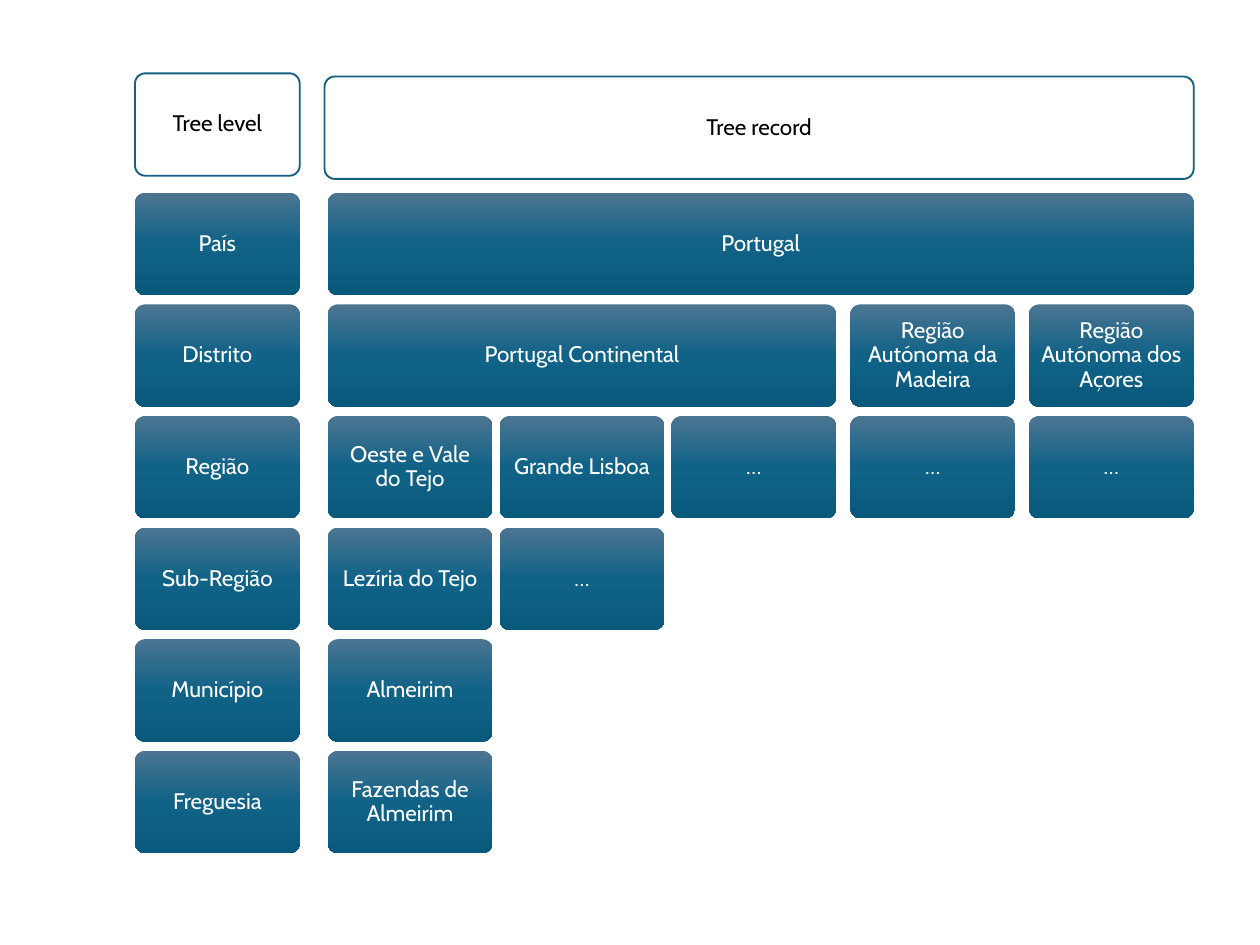
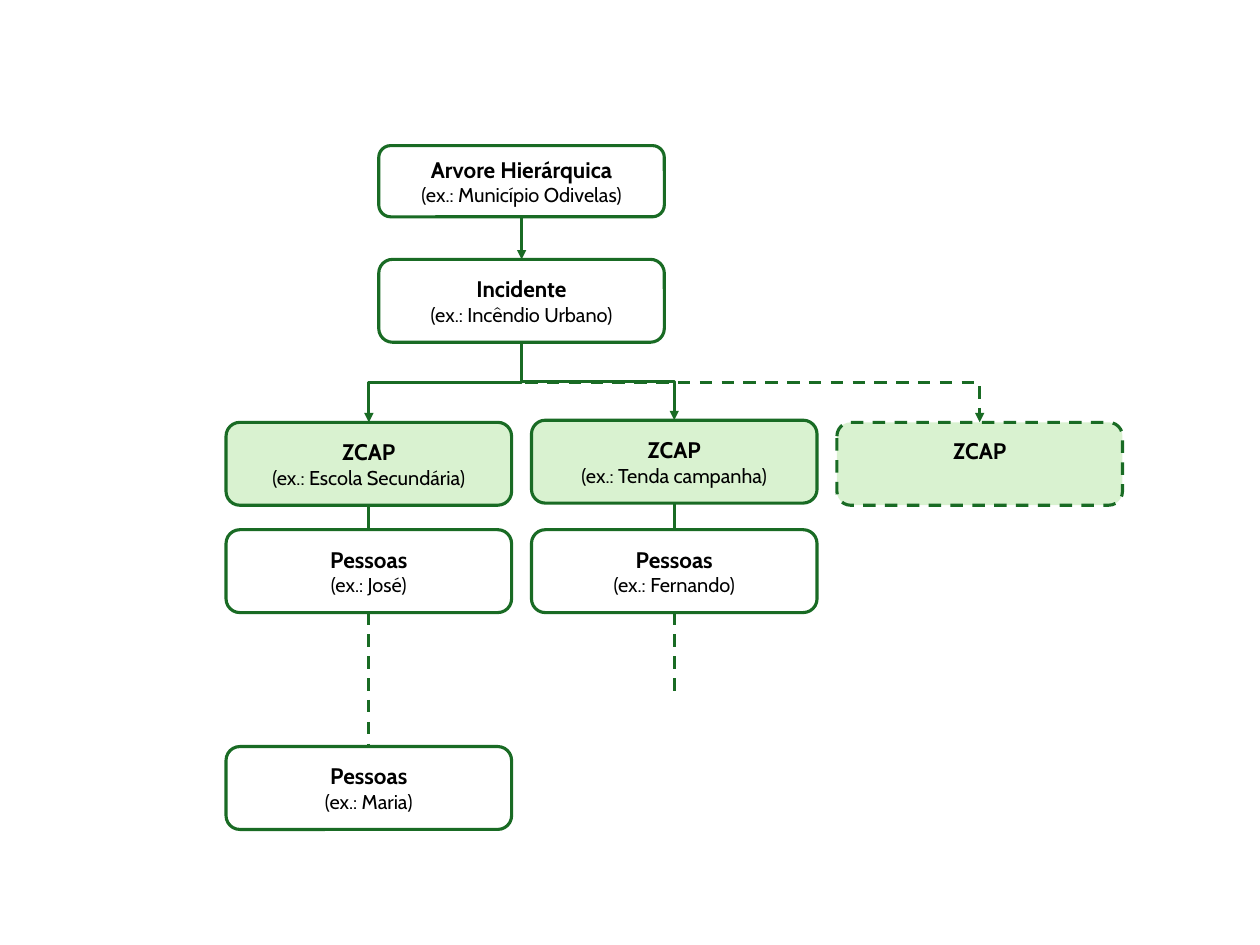
import copy

import pptx
import pptx.dml.color
import pptx.enum.dml
import pptx.enum.shapes
import pptx.enum.text
import pptx.oxml
import pptx.oxml.ns
import pptx.util

Cm = pptx.util.Cm
Pt = pptx.util.Pt
qn = pptx.oxml.ns.qn
DASH = pptx.enum.dml.MSO_LINE.DASH
LINK = pptx.enum.shapes.MSO_CONNECTOR


def color(code):
    return pptx.dml.color.RGBColor.from_string(code)


class Deck:
    font = "Cabin"
    white, black = "FFFFFF", "000000"
    blue, green, mint = "156082", "196B24", "D9F2D0"
    shades = ((0, "4C7591"), (0.5, "106287"), (1, "09597D"))

    def __init__(self, wide, high):
        self.prs = pptx.Presentation()
        self.prs.slide_width = Cm(wide)
        self.prs.slide_height = Cm(high)
        self.slide = None

    def page(self):
        self.slide = self.prs.slides.add_slide(self.prs.slide_layouts[6])

    def box(self, left, top, wide, high, text, ink):
        """Rounded box with centred text; later lines are smaller and plain."""
        kind = pptx.enum.shapes.MSO_SHAPE.ROUNDED_RECTANGLE
        shape = self.slide.shapes.add_shape(
            kind, Cm(left), Cm(top), Cm(wide), Cm(high))
        shape.shadow.inherit = False
        frame = shape.text_frame
        frame.word_wrap = True
        frame.vertical_anchor = pptx.enum.text.MSO_ANCHOR.MIDDLE
        par = frame.paragraphs[0]
        par.text = text
        par.alignment = pptx.enum.text.PP_ALIGN.CENTER
        for i, run in enumerate(par.runs):
            run.font.name = self.font
            run.font.size = Pt(16 if i else 18)
            run.font.color.rgb = color(ink)
        return shape

    def paint(self, shape, fill, line, width, dash=False):
        shape.fill.solid()
        shape.fill.fore_color.rgb = color(fill)
        self.stroke(shape.line, line, width, dash)

    def stroke(self, line, code, width, dash):
        line.color.rgb = color(code)
        line.width = Pt(width)
        if dash:
            line.dash_style = DASH

    def shade(self, shape):
        fill = shape.fill
        fill.gradient()
        fill.gradient_angle = 270
        stops = shape.element.spPr.find(".//" + qn("a:gsLst"))
        stops.append(copy.deepcopy(stops[-1]))
        for stop, (place, code) in zip(fill.gradient_stops, self.shades):
            stop.position = place
            stop.color.rgb = color(code)
        shape.line.fill.background()

    def tile(self, left, top, wide, high, text, head=False):
        ink = self.black if head else self.white
        shape = self.box(left, top, wide, high, text, ink)
        shape.adjustments[0] = 0.1
        frame = shape.text_frame
        frame.margin_top = frame.margin_bottom = Cm(0.25)
        frame.paragraphs[0].line_spacing = 0.9
        if head:
            self.paint(shape, self.white, self.blue, 1.5)
        else:
            self.shade(shape)

    def node(self, mid, top, wide, high, text, fill=white, dash=False):
        shape = self.box(mid - wide / 2, top, wide, high, text, self.black)
        self.paint(shape, fill, self.green, 2.5, dash)
        shape.text_frame.paragraphs[0].runs[0].font.bold = True
        return shape

    def link(self, x1, y1, x2, y2, dash=False, arrow=False):
        """Straight line down, or an elbow that leaves and arrives upright."""
        bent = x1 != x2
        ends = (x1, y1, x2, y2)
        if bent:
            # The elbow lies on its side before it is turned
            x, y = (x1 + x2) / 2, (y1 + y2) / 2
            w, h = (y2 - y1) / 2, abs(x2 - x1) / 2
            if x2 > x1:
                w = -w
            ends = (x - w, y - h, x + w, y + h)
        line = self.slide.shapes.add_connector(
            LINK.ELBOW if bent else LINK.STRAIGHT, *map(Cm, ends))
        props = line.element.spPr
        if bent:
            turn = 270 if x2 > x1 else 90
            props.find(qn("a:xfrm")).set("rot", str(turn * 60000))
        self.stroke(line.line, self.green, 2.5, dash)
        if arrow:
            tail = pptx.oxml.parse_xml(
                '<a:tailEnd %s type="triangle"/>' % pptx.oxml.ns.nsdecls("a"))
            props.find(qn("a:ln")).append(tail)
        props.append(pptx.oxml.parse_xml(
            "<a:effectLst %s/>" % pptx.oxml.ns.nsdecls("a")))


def levels(deck):
    deck.page()
    wide, high, step, first = 4.65, 2.89, 3.15, 5.44
    side = 3.81
    cols = (9.25, 14.1, 18.95, 24, 29.04)

    # Headings
    deck.tile(9.16, 2.16, 24.53, high, "Tree record", head=True)
    deck.tile(side, 2.07, wide, high, "Tree level", head=True)

    # Each level with its records: text, first column, last column
    rows = (
        ("País", [("Portugal", 0, 4)]),
        ("Distrito", [("Portugal Continental", 0, 2),
                      ("Região Autónoma da Madeira", 3, 3),
                      ("Região Autónoma dos Açores", 4, 4)]),
        ("Região", [("Oeste e Vale do Tejo", 0, 0), ("Grande Lisboa", 1, 1),
                    ("…", 2, 2), ("…", 3, 3), ("…", 4, 4)]),
        ("Sub-Região", [("Lezíria do Tejo", 0, 0), ("…", 1, 1)]),
        ("Município", [("Almeirim", 0, 0)]),
        ("Freguesia", [("Fazendas de Almeirim", 0, 0)]),
    )
    for i, (level, items) in enumerate(rows):
        top = first + i * step
        deck.tile(side, top, wide, high, level)
        for text, start, end in items:
            span = cols[end] + wide - cols[start]
            deck.tile(cols[start], top, span, high, text)


def tree(deck):
    deck.page()
    wide, high = 8.06, 2.34
    left, mid, right = (10.41 + 8.62 * i for i in range(3))
    root = (left + mid) / 2
    fork = 7.32 + high
    zone, tent = 11.92, 11.86
    people, last = 14.95, 21.07

    # Links
    deck.link(root, fork, right, zone, dash=True, arrow=True)
    deck.link(root, 6.12, root, 7.32, arrow=True)
    deck.link(root, fork, mid, tent, arrow=True)
    deck.link(root, fork, left, zone, arrow=True)
    deck.link(left, zone + high, left, people)
    deck.link(mid, tent + high, mid, people)
    deck.link(left, people + high, left, last, dash=True)
    deck.link(mid, people + high, mid, 19.68, dash=True)

    # Boxes
    nodes = (
        (root, 4.11, 2.01, "Arvore Hierárquica", "Município Odivelas"),
        (root, 7.32, high, "Incidente", "Incêndio Urbano"),
        (mid, tent, high, "ZCAP", "Tenda campanha"),
        (left, zone, high, "ZCAP", "Escola Secundária"),
        (left, people, high, "Pessoas", "José"),
        (left, last, high, "Pessoas", "Maria"),
        (mid, people, high, "Pessoas", "Fernando"),
    )
    for x, top, tall, name, case in nodes:
        fill = deck.mint if name == "ZCAP" else deck.white
        deck.node(x, top, wide, tall, f"{name}\v(ex.: {case})", fill)
    spare = deck.node(right, zone, wide, high, "ZCAP", deck.mint, dash=True)
    spare.text_frame.margin_bottom = Cm(0.87)


def main():
    deck = Deck(35.56, 26.67)
    levels(deck)
    tree(deck)
    deck.prs.save("out.pptx")


if __name__ == "__main__":
    main()
